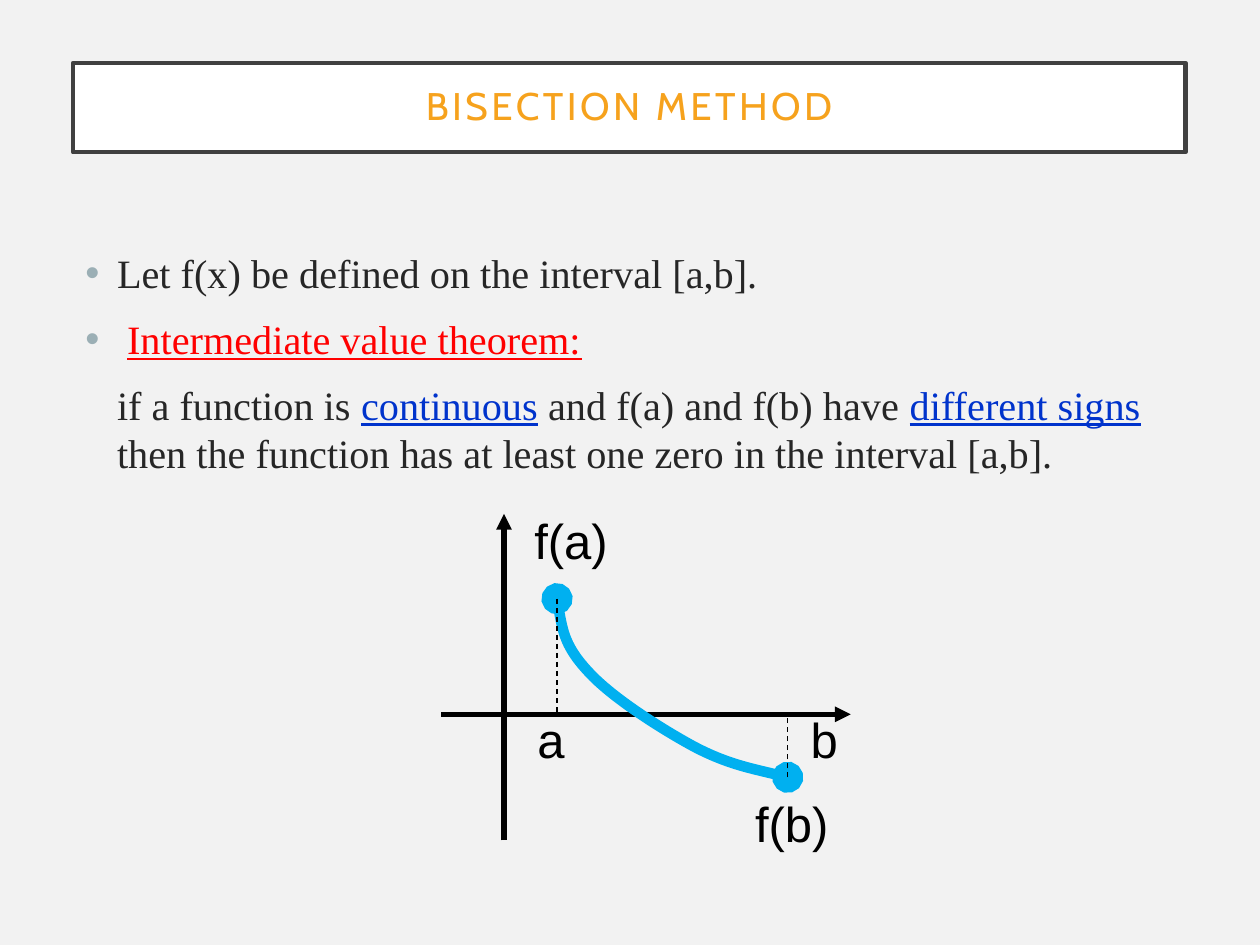
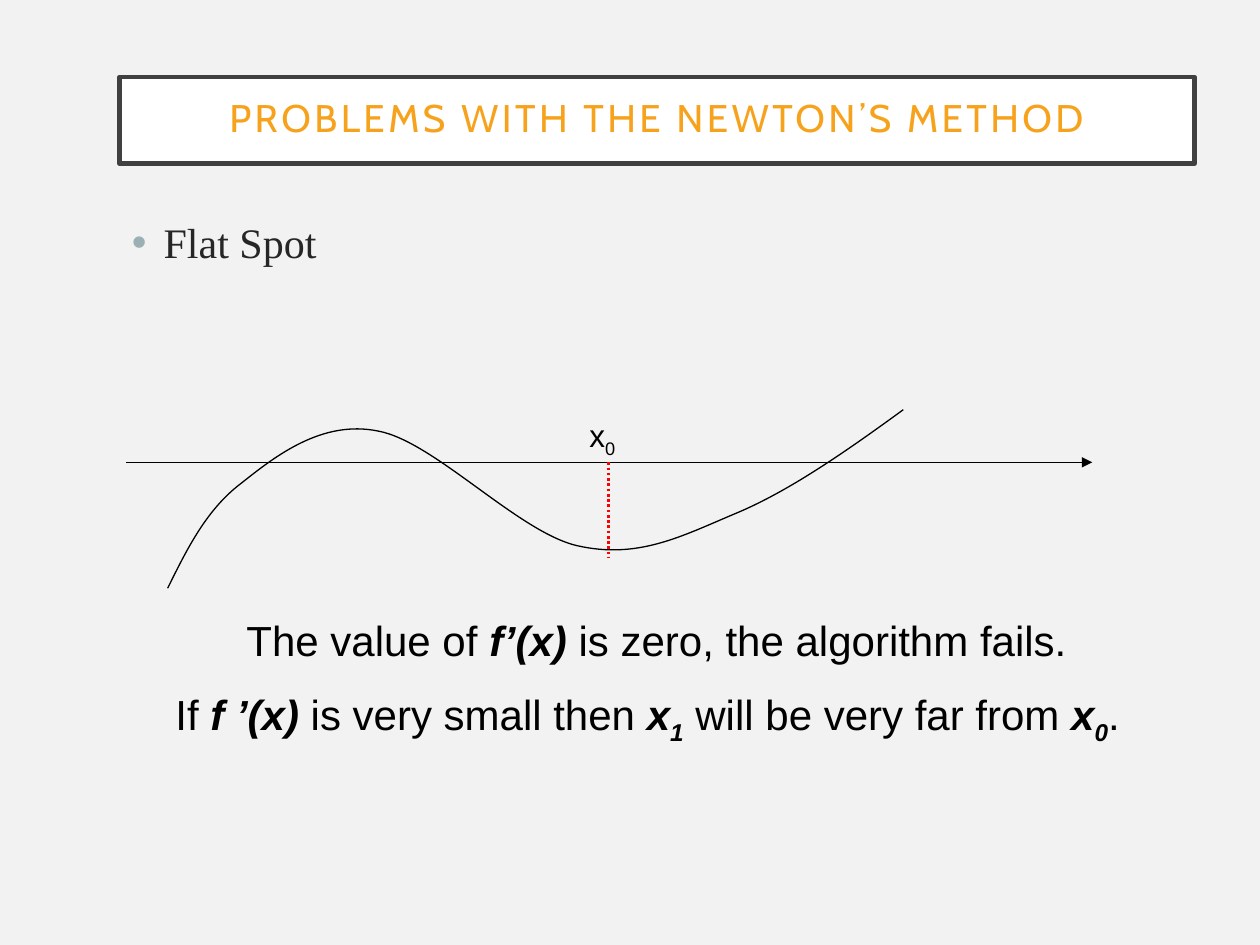
"""Build two slides on root finding: the bisection method and a Newton flat spot."""
from dataclasses import dataclass, field
from typing import Any, Optional

from lxml.etree import SubElement
from pptx import Presentation
from pptx.dml.color import RGBColor
from pptx.enum.dml import MSO_LINE as Dash
from pptx.enum.shapes import MSO_CONNECTOR as Connector
from pptx.enum.text import MSO_ANCHOR as Anchor, MSO_AUTO_SIZE as AutoSize, PP_ALIGN as Align
from pptx.oxml.ns import qn
from pptx.util import Cm, Pt

PAPER = RGBColor(0xF2, 0xF2, 0xF2)
WHITE = RGBColor(0xFF, 0xFF, 0xFF)
FRAME = RGBColor(0x40, 0x40, 0x40)
ORANGE = RGBColor(0xF6, 0xA2, 0x1D)
INK = RGBColor(0x26, 0x26, 0x26)
BULLET = RGBColor(0x9B, 0xAF, 0xB5)
BLACK = RGBColor(0, 0, 0)
RED = RGBColor(0xFF, 0, 0)
LINK_BLUE = RGBColor(0, 0x33, 0xCC)
CURVE_BLUE = RGBColor(0, 0xB0, 0xF0)

TITLE_FONT, BODY_FONT, LABEL_FONT = "Cabin", "Times New Roman", "Arial"
HANGING = 0.64
Point = tuple[float, float]


@dataclass(frozen=True)
class Area:
    """A rectangle in centimetres."""
    left: float
    top: float
    width: float
    height: float

    def lengths(self) -> tuple[Cm, Cm, Cm, Cm]:
        """Return left, top, width and height as lengths."""
        return Cm(self.left), Cm(self.top), Cm(self.width), Cm(self.height)


@dataclass(frozen=True)
class Span:
    """A piece of text with its own format."""
    text: str
    format: dict[str, Any] = field(default_factory=dict)
    color: Optional[RGBColor] = None
    lowered: bool = False


@dataclass(frozen=True)
class Para:
    """A paragraph with its spacing and indents."""
    spans: list[Span]
    align: Align = Align.LEFT
    before: float = 0
    indent: float = 0
    right: float = 0
    bullet: bool = False


@dataclass(frozen=True)
class TextStyle:
    """The font shared by all spans of a text."""
    font: str
    size: float
    color: RGBColor


@dataclass(frozen=True)
class Stroke:
    """The look of a line and its two ends."""
    color: RGBColor
    width: float
    dash: Optional[Dash] = None
    head: Optional[str] = None
    tail: Optional[str] = None


@dataclass(frozen=True)
class Segment:
    """A straight line between two points."""
    start: Point
    end: Point
    stroke: Stroke


@dataclass(frozen=True)
class Label:
    """A short label of the bisection graph."""
    text: str
    area: Area


EMPHASIS = {"bold": True, "italic": True}
UNDERLINE = {"underline": True}
TITLE_STYLE = TextStyle(TITLE_FONT, 22, ORANGE)
THEOREM_STYLE = TextStyle(BODY_FONT, 23, INK)
TOPIC_STYLE = TextStyle(BODY_FONT, 24, INK)
GRAPH_LABEL_STYLE = TextStyle(LABEL_FONT, 28, BLACK)
REMARK_STYLE = TextStyle(LABEL_FONT, 24, BLACK)
START_LABEL_STYLE = TextStyle(LABEL_FONT, 18, BLACK)

AXIS = Stroke(BLACK, 3, tail="triangle")
GUIDE = Stroke(BLACK, 0.75, Dash.DASH)
THIN_AXIS = Stroke(BLACK, 0.75, tail="triangle")
FLAT_MARK = Stroke(RED, 1.5, Dash.ROUND_DOT)

THEOREM = [
    Para([Span("Let f(x) be defined on the interval [a,b].")], before=10, bullet=True),
    Para([Span(" "), Span("Intermediate value theorem:", UNDERLINE, RED)], before=10, bullet=True),
    Para([Span("if a function is "), Span("continuous", UNDERLINE, LINK_BLUE),
          Span(" and f(a) and f(b) have "), Span("different signs", UNDERLINE, LINK_BLUE),
          Span(" then the function has at least one zero in the interval [a,b].")],
         before=10, indent=HANGING),
]
REMARKS = [
    Para([Span("The value of "), Span("f’(x)", EMPHASIS),
          Span(" is zero, the algorithm fails.")], Align.CENTER, 13.5),
    Para([Span("If "), Span("f ’(x)", EMPHASIS), Span(" is very small then "),
          Span("x", EMPHASIS), Span("1", EMPHASIS, lowered=True),
          Span(" will be very far from "), Span("x", EMPHASIS),
          Span("0", EMPHASIS, lowered=True), Span(".")], Align.CENTER, 13.5, right=0.36),
]

POINT_A, POINT_B = (11.23, 12.07), (15.88, 15.67)
AXIS_Y = 14.4
BISECTION_LINES = [
    Segment((8.89, AXIS_Y), (17.15, AXIS_Y), AXIS),
    Segment((10.16, 16.94), (10.16, 10.36), AXIS),
]
BISECTION_GUIDES = [Segment(point, (point[0], AXIS_Y), GUIDE) for point in (POINT_A, POINT_B)]
BISECTION_CURVE = [
    POINT_A, (11.3, 12.55), (11.4, 13.05), (11.86, 13.54), (12.32, 14.05),
    (13.31, 14.68), (13.97, 15.04), (14.63, 15.39), (15.27, 15.52), POINT_B,
]
BISECTION_LABELS = [
    Label("a", Area(10.16, 14.17, 1.47, 1.45)),
    Label("b", Area(15.67, 14.17, 1.47, 1.45)),
    Label("f(a)", Area(10.16, 10.16, 2.34, 1.45)),
    Label("f(b)", Area(14.61, 15.88, 2.34, 1.45)),
]
NEWTON_LINES = [
    Segment((2.54, 9.32), (22.02, 9.32), THIN_AXIS),
    Segment((12.27, 9.32), (12.27, 11.23), FLAT_MARK),
]
NEWTON_CURVE = [
    (3.38, 11.86), (3.78, 11.05), (4.17, 10.26), (4.88, 9.73), (5.56, 9.19), (6.5, 8.46),
    (7.62, 8.69), (8.74, 8.89), (10.44, 10.72), (11.63, 11), (12.85, 11.28), (13.72, 10.82),
    (14.81, 10.36), (15.9, 9.91), (17.07, 9.09), (18.21, 8.26),
]


def apply(target: Any, values: dict[str, Any]) -> None:
    """Set each named attribute of the target."""
    for name, value in values.items():
        setattr(target, name, value)


def add_bullet(properties: Any) -> None:
    """Give a paragraph a coloured round bullet."""
    color = SubElement(properties, qn("a:buClr"))
    SubElement(color, qn("a:srgbClr"), val=str(BULLET))
    SubElement(properties, qn("a:buFont"), typeface=LABEL_FONT)
    SubElement(properties, qn("a:buChar"), char="•")


def write(frame: Any, paras: list[Para], style: TextStyle) -> None:
    """Fill a text frame with formatted paragraphs."""
    for index, para in enumerate(paras):
        line = frame.paragraphs[0] if index == 0 else frame.add_paragraph()
        apply(line, {"alignment": para.align, "space_before": Pt(para.before)})
        properties = line._p.get_or_add_pPr()
        indents = {"marL": HANGING if para.bullet else para.indent,
                   "indent": -HANGING if para.bullet else 0, "marR": para.right}
        for name, length in indents.items():
            properties.set(name, str(int(Cm(length))))
        if para.bullet:
            add_bullet(properties)
        for span in para.spans:
            run = line.add_run()
            run.text = span.text
            apply(run.font, {"name": style.font, "size": Pt(style.size), **span.format})
            run.font.color.rgb = span.color or style.color
            if span.lowered:
                run._r.get_or_add_rPr().set("baseline", "-25000")


def add_text(page: Any, area: Area, paras: list[Para], style: TextStyle,
             wrap: bool = True, grow: bool = True) -> None:
    """Add a text box."""
    frame = page.shapes.add_textbox(*area.lengths()).text_frame
    apply(frame, {"word_wrap": wrap,
                  "auto_size": AutoSize.SHAPE_TO_FIT_TEXT if grow else AutoSize.NONE})
    write(frame, paras, style)


def draw_stroke(shape: Any, stroke: Stroke) -> None:
    """Give a line its colour, width, dash and ends."""
    shape.line.color.rgb = stroke.color
    shape.line.width = Pt(stroke.width)
    if stroke.dash:
        shape.line.dash_style = stroke.dash
    outline = shape.line._get_or_add_ln()
    for tag, kind in (("a:headEnd", stroke.head), ("a:tailEnd", stroke.tail)):
        if kind:
            SubElement(outline, qn(tag), type=kind)


def add_segment(page: Any, segment: Segment) -> None:
    """Add a straight connector without a shadow."""
    ends = [Cm(value) for value in (*segment.start, *segment.end)]
    connector = page.shapes.add_connector(Connector.STRAIGHT, *ends)
    draw_stroke(connector, segment.stroke)
    SubElement(connector._element.spPr, qn("a:effectLst"))


def add_curve(page: Any, points: list[Point], stroke: Stroke) -> None:
    """Add an open freeform of cubic curves, three points to a curve."""
    start, *others = [(Cm(x), Cm(y)) for x, y in points]
    builder = page.shapes.build_freeform(*start)
    builder.add_line_segments(others, close=False)
    curve = builder.convert_to_shape()
    outline = curve._element.find(".//" + qn("a:path"))
    steps = outline.findall(qn("a:lnTo"))
    for first in range(0, len(steps), 3):
        cubic = SubElement(outline, qn("a:cubicBezTo"))
        for step in steps[first:first + 3]:
            cubic.append(step[0])
            outline.remove(step)
    curve.fill.background()
    curve.shadow.inherit = False
    draw_stroke(curve, stroke)


def add_page(deck: Any, title: str, area: Area) -> Any:
    """Add a title-only slide with a framed title."""
    page = deck.slides.add_slide(deck.slide_layouts[5])
    box = page.shapes.title
    apply(box, dict(zip(("left", "top", "width", "height"), area.lengths())))
    box.fill.solid()
    box.fill.fore_color.rgb = WHITE
    draw_stroke(box, Stroke(FRAME, 2.5))
    frame = box.text_frame
    margins = {f"margin_{side}": Cm(0.51) for side in ("left", "top", "right", "bottom")}
    apply(frame, {"word_wrap": True, "auto_size": AutoSize.NONE,
                  "vertical_anchor": Anchor.MIDDLE, **margins})
    write(frame, [Para([Span(title)], Align.CENTER)], TITLE_STYLE)
    line = frame.paragraphs[0]
    line.line_spacing = 0.9
    line.runs[0]._r.get_or_add_rPr().set("spc", "200")
    return page


def build_bisection(deck: Any) -> None:
    """Build the slide on the intermediate value theorem."""
    page = add_page(deck, "BISECTION METHOD", Area(1.47, 1.27, 22.43, 1.8))
    add_text(page, Area(1.47, 4.88, 22.43, 11.5), THEOREM, THEOREM_STYLE, grow=False)
    for segment in BISECTION_LINES:
        add_segment(page, segment)
    add_curve(page, BISECTION_CURVE, Stroke(CURVE_BLUE, 6, head="oval", tail="oval"))
    for segment in BISECTION_GUIDES:
        add_segment(page, segment)
    for label in BISECTION_LABELS:
        add_text(page, label.area, [Para([Span(label.text)], Align.RIGHT)], GRAPH_LABEL_STYLE)


def build_newton(deck: Any) -> None:
    """Build the slide on the flat spot."""
    page = add_page(deck, "PROBLEMS WITH THE NEWTON’S METHOD", Area(2.41, 1.55, 21.67, 1.75))
    topic = [Para([Span("Flat Spot")], before=10, bullet=True)]
    add_text(page, Area(2.41, 4.24, 21.67, 14.4), topic, TOPIC_STYLE, grow=False)
    add_text(page, Area(2.54, 12.27, 21.39, 2.82), REMARKS, REMARK_STYLE)
    for segment in NEWTON_LINES:
        add_segment(page, segment)
    start_label = [Para([Span("x"), Span("0", lowered=True)])]
    add_text(page, Area(11.63, 8.26, 1.07, 1.02), start_label, START_LABEL_STYLE, wrap=False)
    add_curve(page, NEWTON_CURVE, Stroke(BLACK, 0.75))


def main() -> None:
    """Build and save the deck."""
    deck = Presentation()
    apply(deck, {"slide_width": Cm(25.4), "slide_height": Cm(19.05)})
    paper = deck.slide_master.background.fill
    paper.solid()
    paper.fore_color.rgb = PAPER
    build_bisection(deck)
    build_newton(deck)
    deck.save("out.pptx")


if __name__ == "__main__":
    main()
